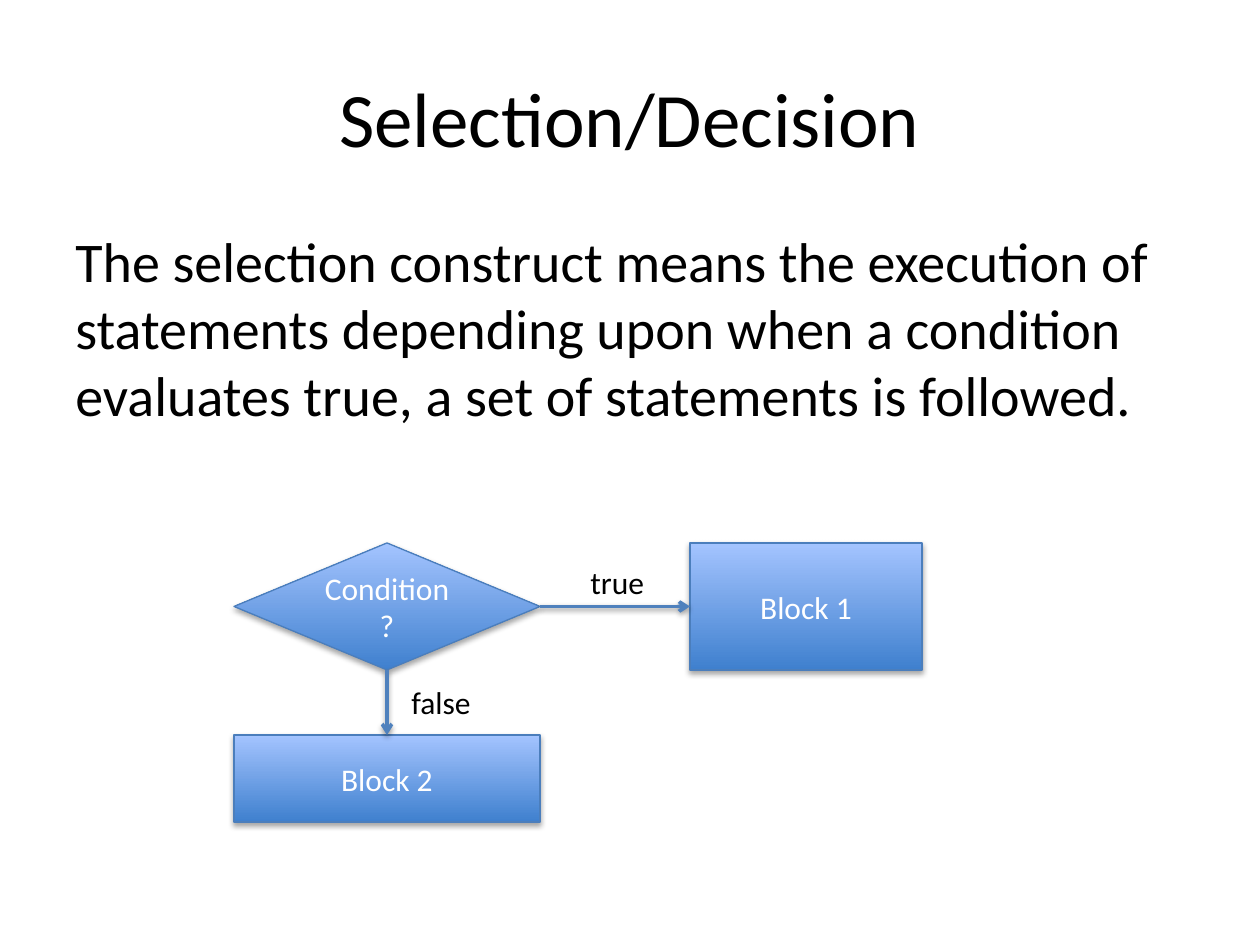
from dataclasses import dataclass

from lxml import etree
from pptx import Presentation
from pptx.dml.color import RGBColor
from pptx.enum.shapes import MSO_CONNECTOR, MSO_SHAPE
from pptx.enum.text import MSO_ANCHOR, MSO_AUTO_SIZE, PP_ALIGN
from pptx.oxml.ns import qn
from pptx.util import Pt

SCALE = 914400 / 126
DIAMOND, RECT = MSO_SHAPE.DIAMOND, MSO_SHAPE.RECTANGLE
STRAIGHT = MSO_CONNECTOR.STRAIGHT
TOP, MIDDLE = MSO_ANCHOR.TOP, MSO_ANCHOR.MIDDLE
LEFT, CENTER = PP_ALIGN.LEFT, PP_ALIGN.CENTER
GROW = MSO_AUTO_SIZE.SHAPE_TO_FIT_TEXT
NORTH, WEST, SOUTH, EAST = range(4)


@dataclass(frozen=True)
class Theme:
    font: str = "Calibri"
    ink: str = "000000"
    light: str = "FFFFFF"
    fill: tuple = ("3F80CE", "A4C4FF")
    edge: str = "4B7EBC"
    arrow: str = "4F81BD"
    title: int = 44
    body: int = 32
    small: int = 18


THEME = Theme()


def px(*sizes):
    return [round(size * SCALE) for size in sizes]


def rgb(code):
    return RGBColor.from_string(code)


def style(frame, text, size, color, align, anchor):
    frame.text = text
    frame.word_wrap = True
    frame.vertical_anchor = anchor
    para = frame.paragraphs[0]
    para.alignment = align
    font = para.runs[0].font
    font.name, font.size = THEME.font, Pt(size)
    font.color.rgb = rgb(color)


def shadow(shape, dist, alpha):
    props = shape._element.spPr
    for old in props.findall(qn("a:effectLst")):
        props.remove(old)
    effects = etree.SubElement(props, qn("a:effectLst"))
    outer = etree.SubElement(
        effects, qn("a:outerShdw"), blurRad="40000", dist=str(dist),
        dir="5400000", rotWithShape="0")
    color = etree.SubElement(outer, qn("a:srgbClr"), val=THEME.ink)
    etree.SubElement(color, qn("a:alpha"), val=str(alpha * 1000))


def add_text(slide, box, text, size, align=LEFT, anchor=TOP):
    frame = slide.shapes.add_textbox(*px(*box)).text_frame
    style(frame, text, size, THEME.ink, align, anchor)
    return frame


def add_label(slide, box, text):
    frame = add_text(slide, box, text, THEME.small)
    frame.word_wrap = False
    frame.auto_size = GROW


def add_node(slide, kind, box, text):
    node = slide.shapes.add_shape(kind, *px(*box))
    node.fill.gradient()
    node.fill.gradient_angle = 90
    for stop, place, code in zip(node.fill.gradient_stops, (0, 1), THEME.fill):
        stop.position = place
        stop.color.rgb = rgb(code)
    node.line.color.rgb = rgb(THEME.edge)
    node.line.width = Pt(0.75)
    shadow(node, 23000, 35)
    style(node.text_frame, text, THEME.small, THEME.light, CENTER, MIDDLE)
    return node


def add_arrow(slide, start, exit, end, entry):
    arrow = slide.shapes.add_connector(STRAIGHT, 0, 0, 0, 0)
    arrow.begin_connect(start, exit)
    arrow.end_connect(end, entry)
    arrow.line.color.rgb = rgb(THEME.arrow)
    arrow.line.width = Pt(2)
    etree.SubElement(arrow.line._get_or_add_ln(), qn("a:tailEnd"), type="arrow")
    shadow(arrow, 20000, 38)


def main():
    deck = Presentation()
    deck.slide_width, deck.slide_height = px(1260, 945)
    slide = deck.slides.add_slide(deck.slide_layouts[6])

    add_text(slide, (63, 38, 1134, 158), "Selection/Decision",
             THEME.title, CENTER, MIDDLE)
    body = add_text(
        slide, (63, 220, 1134, 624),
        "The selection construct means the execution of statements depending "
        "upon when a condition evaluates true, a set of statements is followed.",
        THEME.body)
    body.paragraphs[0].space_before = Pt(6.4)

    test = add_node(slide, DIAMOND, (234, 543, 306, 127), "Condition?")
    first = add_node(slide, RECT, (690, 543, 232, 127), "Block 1")
    second = add_node(slide, RECT, (234, 735, 306, 87), "Block 2")
    add_arrow(slide, test, EAST, first, WEST)
    add_arrow(slide, test, SOUTH, second, NORTH)
    add_label(slide, (578, 557, 79, 50), "true")
    add_label(slide, (399, 677, 86, 50), "false")
    deck.save("out.pptx")


main()
